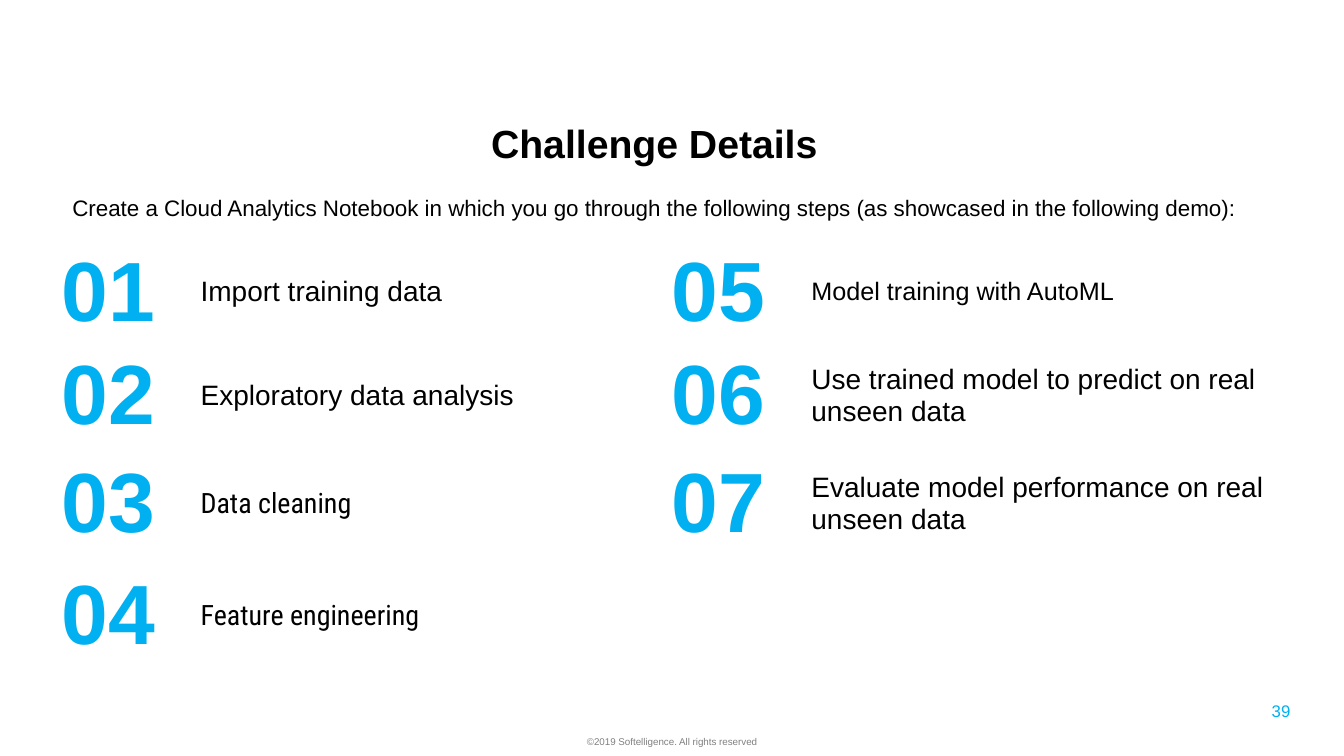
"""Build the Challenge Details slide with its numbered steps."""
import pptx
import pptx.dml.color
import pptx.enum.text
import pptx.util

Pt = pptx.util.Pt
ALIGN = pptx.enum.text.PP_ALIGN
ANCHOR = pptx.enum.text.MSO_ANCHOR

TITLE = "Challenge Details"
INTRO = ("Create an Cloud Analytics Notebook in which you go through "
         "the following steps (as showcased in the following demo):").replace("an Cloud", "a Cloud")
FOOTER = "©2019 Softelligence. All rights reserved"
PAGE = "39"
STEPS = [
    ("Import training data", "step", "font"),
    ("Exploratory data analysis", "step", "font"),
    ("Data cleaning", "step", "condensed"),
    ("Feature engineering", "step", "condensed"),
    ("Model training with AutoML", "step_small", "font"),
    ("Use trained model to predict on real unseen data", "step", "font"),
    ("Evaluate model performance on real unseen data", "step", "font"),
]
THEME = {
    "font": "Arial", "condensed": "Roboto Condensed",
    "text": "000000", "accent": "00B0F0", "muted": "808080",
    "title": 28, "intro": 16, "number": 60, "step": 20, "step_small": 18,
    "page": 12, "footer": 7,
}
SLIDE_W, SLIDE_H = 960, 540
BODY_X, BODY_W = 28.8, 877
TABLE_X, TABLE_Y = 18.7, 171.4
COL_WIDTHS = [117.4, 318.2, 118.1, 367.9]
ROW_HEIGHTS = [74.2, 74.2, 80, 80]


def write(p, text, size, color="text", bold=False, align=ALIGN.LEFT, font="font"):
    p.text = text
    p.alignment = align
    p.font.name = THEME[font]
    p.font.size = Pt(THEME[size])
    p.font.bold = bold
    p.font.color.rgb = pptx.dml.color.RGBColor.from_string(THEME[color])


def add_text(s, box, text, size, anchor=ANCHOR.TOP, **style):
    tf = s.shapes.add_textbox(*map(Pt, box)).text_frame
    tf.word_wrap = True
    tf.vertical_anchor = anchor
    write(tf.paragraphs[0], text, size, **style)


def add_steps(s):
    rows, cols = len(ROW_HEIGHTS), len(COL_WIDTHS)
    table = s.shapes.add_table(rows, cols, Pt(TABLE_X), Pt(TABLE_Y),
                               Pt(sum(COL_WIDTHS)), Pt(sum(ROW_HEIGHTS))).table
    table.first_row = table.horz_banding = False
    for column, width in zip(table.columns, COL_WIDTHS):
        column.width = Pt(width)
    for row, height in zip(table.rows, ROW_HEIGHTS):
        row.height = Pt(height)
    for cell in table.iter_cells():
        cell.fill.background()
        cell.vertical_anchor = ANCHOR.MIDDLE
        cell.margin_top = cell.margin_bottom = 0
    for i, (text, size, font) in enumerate(STEPS):
        group, row = divmod(i, rows)
        number, label = (table.cell(row, 2 * group + k).text_frame.paragraphs[0]
                         for k in range(2))
        write(number, f"{i + 1:02}", "number", "accent", True, ALIGN.CENTER)
        write(label, text, size, font=font)


def main():
    prs = pptx.Presentation()
    prs.slide_width, prs.slide_height = Pt(SLIDE_W), Pt(SLIDE_H)
    s = prs.slides.add_slide(prs.slide_layouts[6])
    add_text(s, (BODY_X, 135.4, BODY_W, 31.7), INTRO, "intro", align=ALIGN.CENTER)
    add_text(s, (0, 522, SLIDE_W, 18), FOOTER, "footer", color="muted", align=ALIGN.CENTER)
    add_text(s, (BODY_X, 82.8, BODY_W, 38.9), TITLE, "title", ANCHOR.MIDDLE,
             bold=True, align=ALIGN.CENTER)
    add_steps(s)
    add_text(s, (712.8, 493.2, 216, 28.8), PAGE, "page", ANCHOR.MIDDLE,
             color="accent", align=ALIGN.RIGHT)
    prs.save("out.pptx")


if __name__ == "__main__":
    main()
